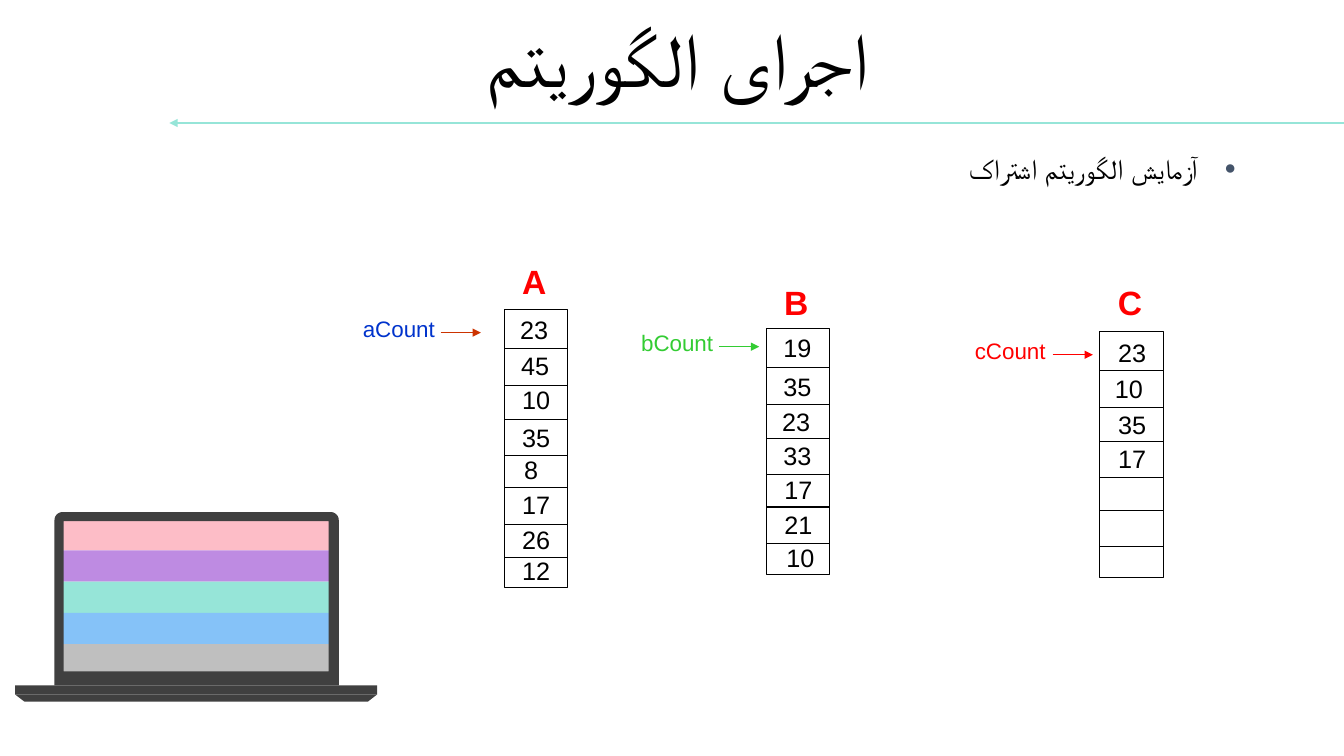
from math import cos, pi, sin

from lxml.etree import SubElement
from pptx import Presentation
from pptx.dml.color import RGBColor
from pptx.enum.shapes import MSO_CONNECTOR, MSO_SHAPE
from pptx.enum.text import MSO_ANCHOR, MSO_AUTO_SIZE, PP_ALIGN
from pptx.oxml.ns import qn
from pptx.util import Inches, Pt

# Content
TITLE = "اجرای الگوریتم"
BULLET = "آزمایش الگوریتم اشتراک"
FONT = "Arial"
BLACK, RED, MINT, DARK = "000000", "FF0000", "96E5D8", "404040"
SCREEN_BANDS = ["FDBDC7", "BE8BE2", MINT, "85C2F8", "BFBFBF"]

# Each cell: value, left and top of its text
ARRAYS = [
    {"name": "A", "left": 5.0, "top": 3.07, "height": 2.76, "name_top": 2.54,
     "rows": 8, "cells": [("23", 5.06, 3.07), ("45", 5.07, 3.43), ("10", 5.08, 3.76),
                          ("35", 5.08, 4.14), ("8", 5.10, 4.46), ("17", 5.08, 4.81),
                          ("26", 5.08, 5.15), ("12", 5.08, 5.46)],
     "counter": "aCount", "arrow": (4.37, 3.30), "colors": ("0033CC", "CC3300")},
    {"name": "B", "left": 7.6, "top": 3.26, "height": 2.44, "name_top": 2.75,
     "rows": 7, "cells": [("19", 7.67, 3.25), ("35", 7.67, 3.63), ("23", 7.66, 3.98),
                          ("33", 7.67, 4.32), ("17", 7.68, 4.66), ("21", 7.68, 5.00),
                          ("10", 7.70, 5.33)],
     "counter": "bCount", "arrow": (7.13, 3.44), "colors": ("33CC33", "33CC33")},
    {"name": "C", "left": 10.91, "top": 3.29, "height": 2.44, "name_top": 2.75,
     "rows": 7, "cells": [("23", 10.99, 3.30), ("10", 10.96, 3.65),
                          ("35", 10.99, 4.01), ("17", 10.99, 4.35)],
     "counter": "cCount", "arrow": (10.44, 3.52), "colors": (RED, RED)},
]
ARRAY_WIDTH = 0.63
DIVIDERS = [0.39, 0.75, 1.09, 1.45, 1.77, 2.13, 2.46]  # below the top of an array

prs = Presentation()
prs.slide_width, prs.slide_height = Inches(13.33), Inches(7.5)
s = prs.slides.add_slide(prs.slide_layouts[6])


def rgb(color):
    return RGBColor.from_string(color)


def add_text(text, box, size, color, bold=False, wrap=False):
    tb = s.shapes.add_textbox(*map(Inches, box))
    tf = tb.text_frame
    tf.word_wrap = wrap
    tf.auto_size = MSO_AUTO_SIZE.NONE if wrap else MSO_AUTO_SIZE.SHAPE_TO_FIT_TEXT
    p = tf.paragraphs[0]
    r = p.add_run()
    r.text = text
    r.font.name, r.font.size, r.font.bold = FONT, Pt(size), bold
    r.font.color.rgb = rgb(color)
    # Persian text takes the complex-script font
    SubElement(r.font._element, qn("a:cs")).set("typeface", FONT)
    return tf, p


def style(sp, fill=None, line=None):
    sp.shadow.inherit = False
    if fill:
        sp.fill.solid()
        sp.fill.fore_color.rgb = rgb(fill)
    else:
        sp.fill.background()
    if line:
        sp.line.color.rgb = rgb(line)
        sp.line.width = Pt(0.75)
    else:
        sp.line.fill.background()
    return sp


def add_box(box, fill=None, line=None, kind=MSO_SHAPE.RECTANGLE):
    return style(s.shapes.add_shape(kind, *map(Inches, box)), fill, line)


def add_line(x1, x2, y, color, width=0.75, arrow=False):
    c = s.shapes.add_connector(MSO_CONNECTOR.STRAIGHT, *map(Inches, (x1, y, x2, y)))
    c.line.color.rgb = rgb(color)
    c.line.width = Pt(width)
    if arrow:
        SubElement(c.line._get_or_add_ln(), qn("a:tailEnd")).set("type", "triangle")
    SubElement(c._element.spPr, qn("a:effectLst"))


# Title and rule
tf, p = add_text(TITLE, (0.38, 0.23, 12.66, 0.79), 54, BLACK, wrap=True)
tf.vertical_anchor = MSO_ANCHOR.MIDDLE
p.alignment, p.line_spacing, p.space_before = PP_ALIGN.CENTER, 0.9, Pt(10)
add_line(13.33, 1.68, 1.22, MINT, 1.5, arrow=True)

# Laptop screen
for i, color in enumerate(SCREEN_BANDS):
    add_box((0.61, 5.15 + 0.31 * i, 2.75 if i < 4 else 2.7, 0.31), color)

# Laptop frame: rounded outline with a window cut out
LEFT, TOP, RIGHT, BOTTOM, RADIUS = 0.54, 5.08, 3.36, 6.8, 0.08
outline = [(LEFT, BOTTOM)]
for cx, start in ((LEFT + RADIUS, pi), (RIGHT - RADIUS, 1.5 * pi)):
    angles = [start + pi / 12 * k for k in range(7)]
    outline += [(cx + RADIUS * cos(a), TOP + RADIUS + RADIUS * sin(a)) for a in angles]
outline.append((RIGHT, BOTTOM))
window = [(0.63, 5.17), (0.63, 6.66), (3.26, 6.66), (3.26, 5.17)]
contours = [[(Inches(x), Inches(y)) for x, y in path] for path in (outline, window)]
frame = s.shapes.build_freeform(*contours[0][0])
frame.add_line_segments(contours[0][1:])
frame.move_to(*contours[1][0])
frame.add_line_segments(contours[1][1:])
style(frame.convert_to_shape(), DARK)

# Laptop base
add_box((0.15, 6.8, 3.59, 0.09), DARK)
base = add_box((0.15, 6.89, 3.59, 0.07), DARK, kind=MSO_SHAPE.TRAPEZOID)
base.adjustments[0] = 1.3
base.rotation = 180

# Bullet line, right to left
tf, p = add_text(BULLET, (3.36, 1.45, 9, 0.61), 20, BLACK, wrap=True)
p.alignment, p.space_before = PP_ALIGN.RIGHT, Pt(4)
pPr = p._p.get_or_add_pPr()
for key, value in (("rtl", "1"), ("marL", Inches(0.38)), ("indent", Inches(-0.38))):
    pPr.set(key, str(value))
SubElement(SubElement(pPr, qn("a:buClr")), qn("a:srgbClr")).set("val", "44546A")
SubElement(pPr, qn("a:buSzPct")).set("val", "70000")
SubElement(pPr, qn("a:buFont")).set("typeface", FONT)
SubElement(pPr, qn("a:buChar")).set("char", "●")

# Arrays with their counters
for array in ARRAYS:
    left, top = array["left"], array["top"]
    add_box((left, top, ARRAY_WIDTH, array["height"]), line=BLACK)
    for offset in DIVIDERS[:array["rows"] - 1]:
        add_line(left, left + ARRAY_WIDTH, top + offset, BLACK)
    for value, x, y in array["cells"]:
        add_text(value, (x, y, 0.2 + 0.14 * len(value), 0.4), 18, BLACK)
    add_text(array["name"], (left + 0.08, array["name_top"], 0.44, 0.5), 24, RED, bold=True)

    x, y = array["arrow"]
    text_color, arrow_color = array["colors"]
    add_line(x, x + 0.4, y, arrow_color, arrow=True)
    add_text(array["counter"], (x - 0.87, y - 0.22, 0.92, 0.37), 16, text_color)

prs.save("out.pptx")
